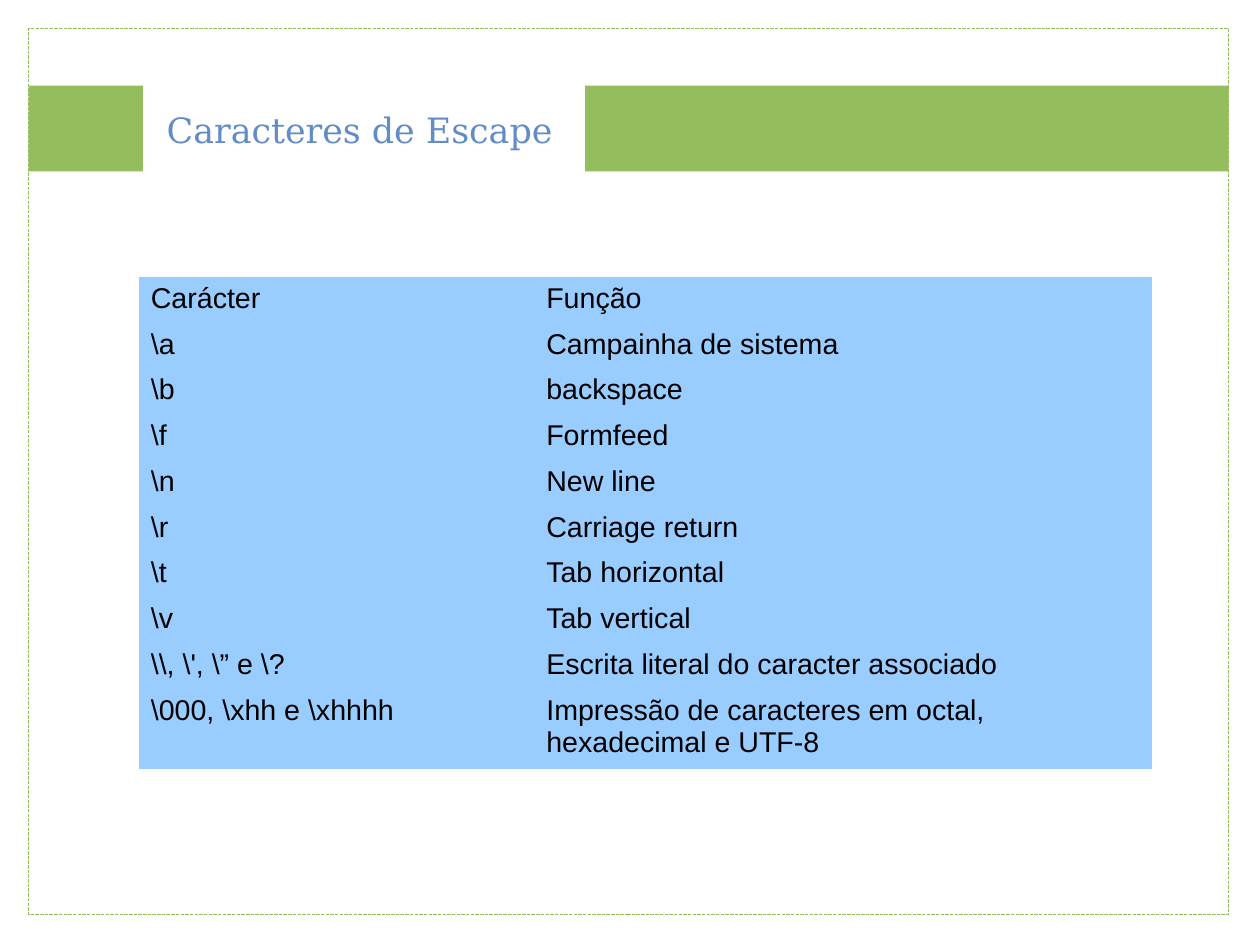
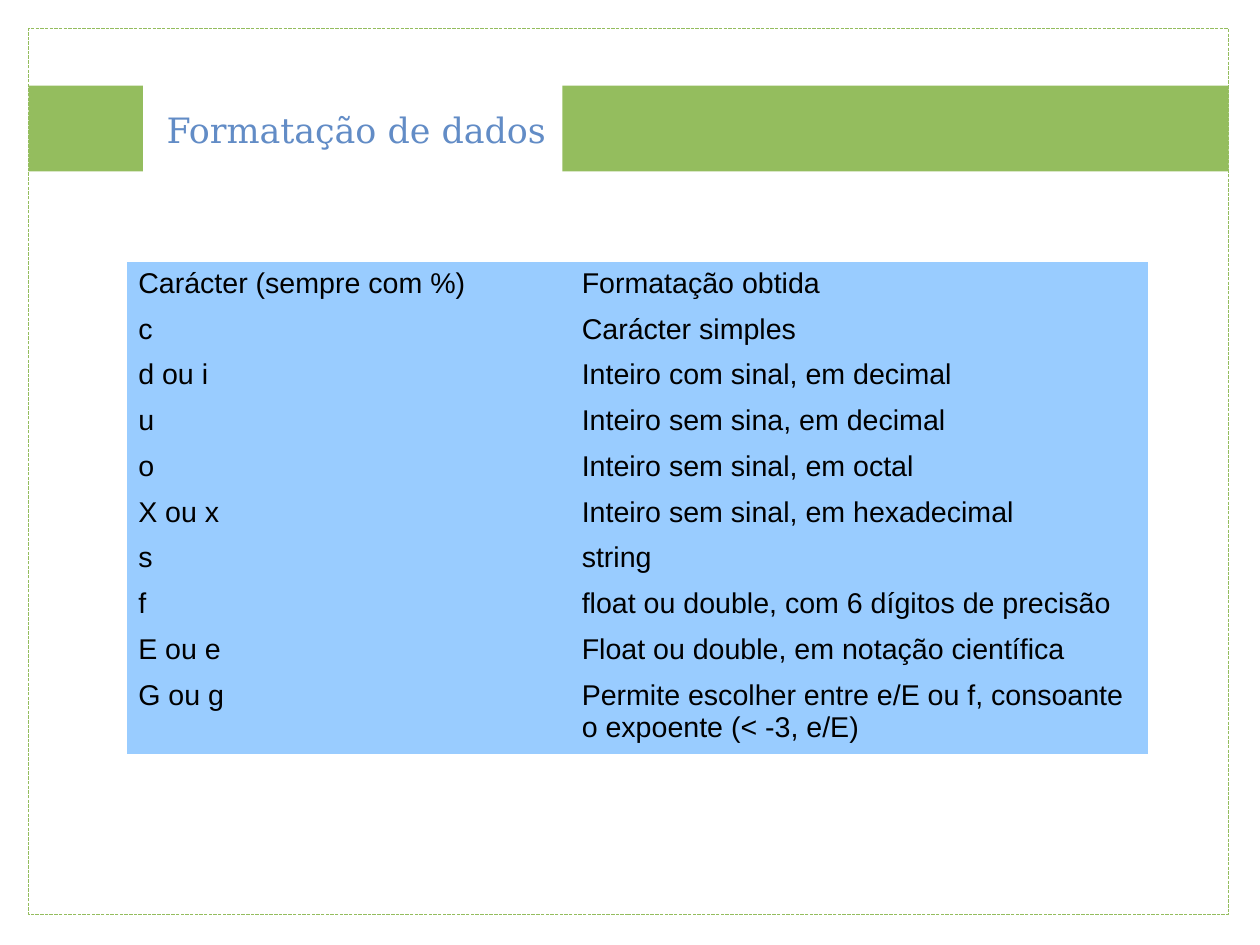
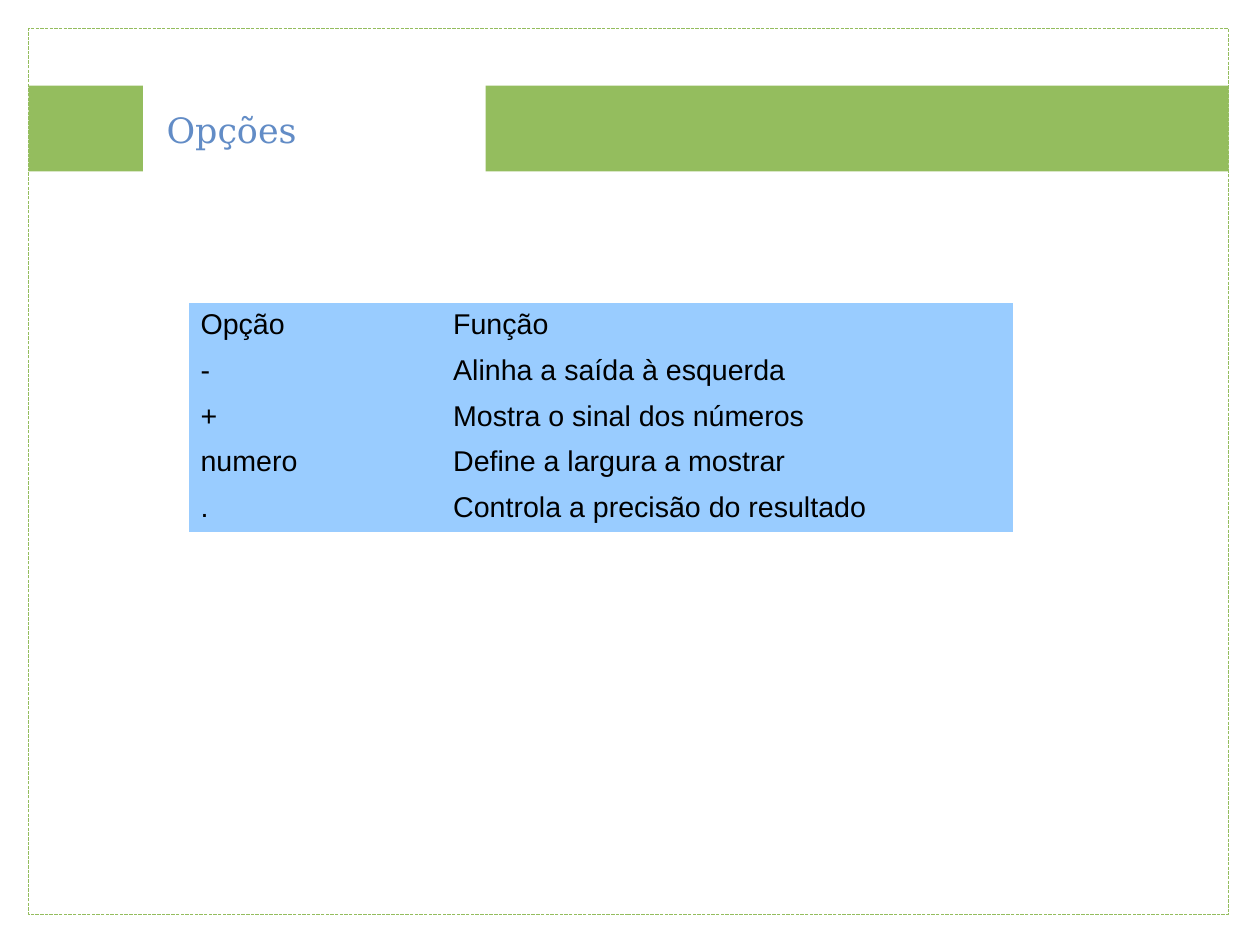
from pptx import Presentation
from pptx.dml.color import RGBColor
from pptx.enum.dml import MSO_LINE
from pptx.enum.shapes import MSO_SHAPE
from pptx.enum.text import MSO_AUTO_SIZE, MSO_ANCHOR
from pptx.oxml.ns import qn
from pptx.util import Cm, Inches, Pt

COLORS = {"green": "94BD5E", "title": "628CC6", "cell": "99CCFF", "text": "000000"}
GRID = 0.25
FRAME_COLUMNS, FRAME_ROWS = 42, 31
FRAME_RIGHT = 1 + FRAME_COLUMNS
BAND_TOP, BAND_ROWS = 3, 3
LINE_ROWS, EXTRA_LINE_ROWS = 1.6, 1.2
PLAIN_TABLE = "{2D5ABB26-0587-4C30-8999-92F81FD0307C}"

ESCAPES = [
    ("Carácter", "Função"),
    (r"\a", "Campainha de sistema"),
    (r"\b", "backspace"),
    (r"\f", "Formfeed"),
    (r"\n", "New line"),
    (r"\r", "Carriage return"),
    (r"\t", "Tab horizontal"),
    (r"\v", "Tab vertical"),
    (r"\\, \', \” e \?", "Escrita literal do caracter associado"),
    (r"\000, \xhh e \xhhhh", "Impressão de caracteres em octal, hexadecimal e UTF-8"),
]
FORMATS = [
    ("Carácter (sempre com %)", "Formatação obtida"),
    ("c", "Carácter simples"),
    ("d ou i", "Inteiro com sinal, em decimal"),
    ("u", "Inteiro sem sina, em decimal"),
    ("o", "Inteiro sem sinal, em octal"),
    ("X ou x", "Inteiro sem sinal, em hexadecimal"),
    ("s", "string"),
    ("f", "float ou double, com 6 dígitos de precisão"),
    ("E ou e", "Float ou double, em notação científica"),
    ("G ou g", "Permite escolher entre e/E ou f, consoante o expoente (< -3, e/E)"),
]
OPTIONS = [
    ("Opção", "Função"),
    ("-", "Alinha a saída à esquerda"),
    ("+", "Mostra o sinal dos números"),
    ("numero", "Define a largura a mostrar"),
    (".", "Controla a precisão do resultado"),
]


def color(key):
    return RGBColor.from_string(COLORS[key])


def grid(*units):
    return [Inches(unit * GRID) for unit in units]


def format_text(text_frame, size, font, key):
    for paragraph in text_frame.paragraphs:
        for run in paragraph.runs:
            run.font.size = Pt(size)
            run.font.name = font
            run.font.color.rgb = color(key)


def add_rectangle(slide, *place):
    rectangle = slide.shapes.add_shape(MSO_SHAPE.RECTANGLE, *grid(*place))
    rectangle.shadow.inherit = False
    return rectangle


def add_band(slide, left, columns):
    band = add_rectangle(slide, left, BAND_TOP, columns, BAND_ROWS)
    band.fill.solid()
    band.fill.fore_color.rgb = color("green")
    band.line.fill.background()


def add_frame(slide):
    frame = add_rectangle(slide, 1, 1, FRAME_COLUMNS, FRAME_ROWS)
    frame.fill.background()
    frame.line.color.rgb = color("green")
    frame.line.width = Pt(0)
    frame.line.dash_style = MSO_LINE.SQUARE_DOT


def add_title(slide, title, columns):
    heading = slide.shapes.add_textbox(*grid(5.44, 3.6, columns, 1.8)).text_frame
    heading.word_wrap = False
    heading.auto_size = MSO_AUTO_SIZE.SHAPE_TO_FIT_TEXT
    heading.text = title
    format_text(heading, 22, "DejaVu Serif", "title")


def add_table(slide, entries, left, top, columns, wrapped_last):
    heights = [LINE_ROWS] * len(entries)
    if wrapped_last:
        heights[-1] += EXTRA_LINE_ROWS
    place = grid(left, top, sum(columns), sum(heights))
    table = slide.shapes.add_table(len(entries), len(columns), *place).table
    table.first_row = table.horz_banding = False
    table._tbl.tblPr.find(qn("a:tableStyleId")).text = PLAIN_TABLE
    for column, width in zip(table.columns, grid(*columns)):
        column.width = width
    for row, height, entry in zip(table.rows, grid(*heights), entries):
        row.height = height
        for cell, text in zip(row.cells, entry):
            cell.text_frame.text = text
            cell.vertical_anchor = MSO_ANCHOR.TOP
            cell.fill.solid()
            cell.fill.fore_color.rgb = color("cell")
            format_text(cell.text_frame, 18, "Arial", "text")


def add_topic(deck, title, title_columns, band_left, entries, left, top, columns,
              wrapped_last=False):
    slide = deck.slides.add_slide(deck.slide_layouts[6])
    add_band(slide, band_left, FRAME_RIGHT - band_left)
    add_frame(slide)
    add_title(slide, title, title_columns)
    add_band(slide, 1, 4)
    add_table(slide, entries, left, top, columns, wrapped_last)


def main():
    deck = Presentation()
    deck.slide_width, deck.slide_height = Cm(28), Cm(21)
    add_topic(deck, "Caracteres de Escape", 14.32, 20.48,
              ESCAPES, 4.88, 9.68, (13.84, 21.6), wrapped_last=True)
    add_topic(deck, "Formatação de dados", 14.08, 19.68,
              FORMATS, 4.44, 9.16, (15.52, 20.2), wrapped_last=True)
    add_topic(deck, "Opções", 5.36, 17,
              OPTIONS, 6.62, 10.6, (8.84, 20))
    deck.save("out.pptx")


if __name__ == "__main__":
    main()
